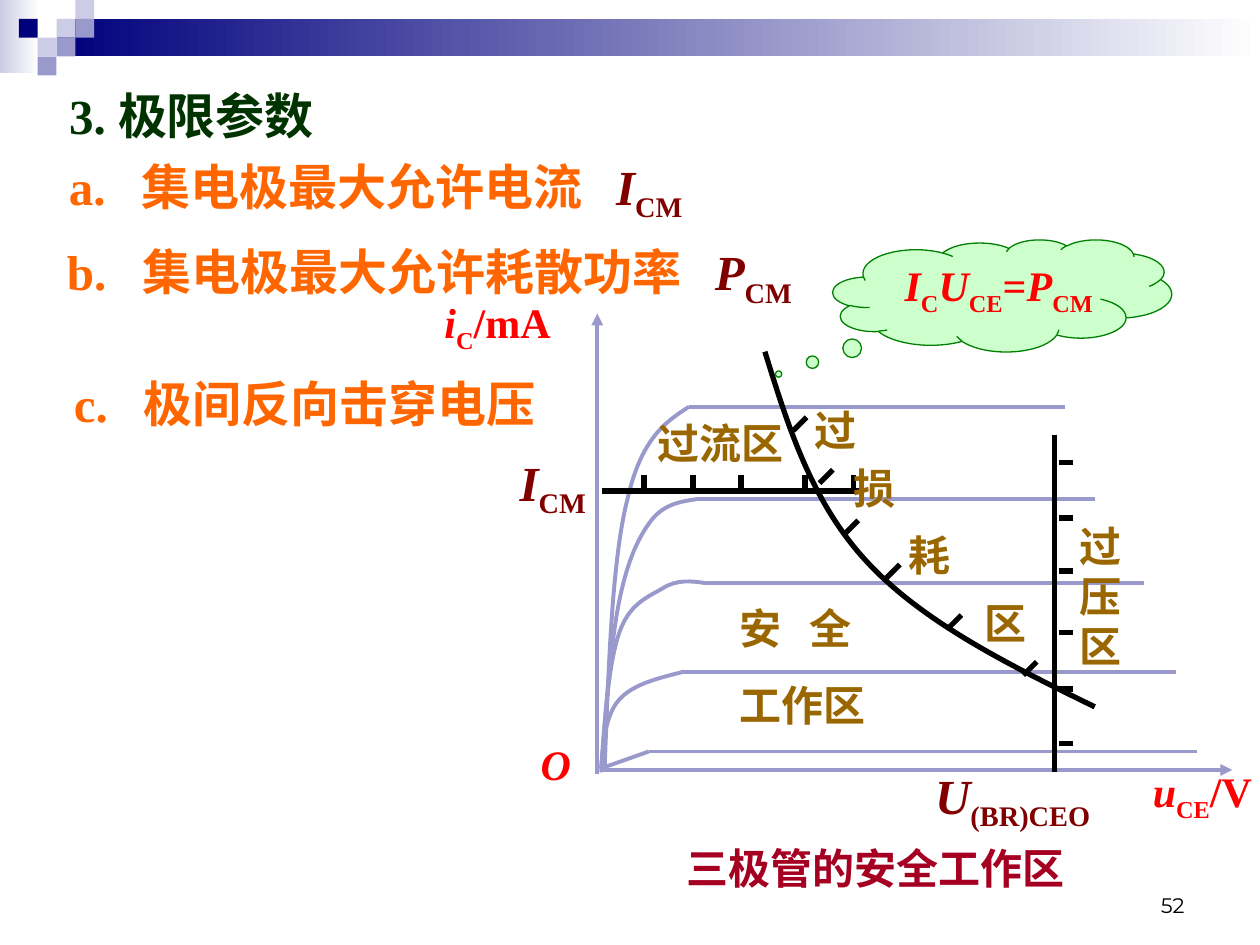
from lxml import etree
from pptx import Presentation
from pptx.dml.color import RGBColor
from pptx.enum import shapes, text
from pptx.oxml.ns import qn
from pptx.util import Cm, Pt

LAVENDER, PALE, NAVY = "9999CC", "CCCCE6", "00007D"
ORANGE, MAROON, RED, BROWN, BLACK = "FF6600", "800000", "FF0000", "996600", "000000"
SERIF = "Times New Roman"


def rgb(value):
    return RGBColor.from_string(value)


def add_block(s, kind, x, y, w, h, fill, line=None):
    sp = s.shapes.add_shape(kind, Cm(x), Cm(y), Cm(w), Cm(h))
    sp.shadow.inherit = False
    if isinstance(fill, tuple):
        sp.fill.gradient()
        sp.fill.gradient_angle = 0
        for stop, position, color in zip(sp.fill.gradient_stops, (0, 1), fill):
            stop.position = position
            stop.color.rgb = rgb(color)
    else:
        sp.fill.solid()
        sp.fill.fore_color.rgb = rgb(fill)
    if line:
        sp.line.color.rgb = rgb(line)
        sp.line.width = Pt(0.75)
    else:
        sp.line.fill.background()
    return sp


def add_line(s, x1, y1, x2, y2, color=BLACK, width=3, arrow=False):
    c = s.shapes.add_connector(shapes.MSO_CONNECTOR.STRAIGHT, Cm(x1), Cm(y1), Cm(x2), Cm(y2))
    c.line.color.rgb = rgb(color)
    c.line.width = Pt(width)
    if arrow:
        etree.SubElement(c.line._get_or_add_ln(), qn("a:tailEnd"), type="triangle")
    etree.SubElement(c._element.spPr, qn("a:effectLst"))


def add_curve(s, start, bends, color=BLACK, width=3):
    """Draw cubic Bezier bends, each given as two control points and an end."""
    builder = s.shapes.build_freeform(Cm(start[0]), Cm(start[1]))
    builder.add_line_segments([(Cm(x), Cm(y)) for bend in bends for x, y in bend], close=False)
    sp = builder.convert_to_shape()
    # Turn every three straight segments into one cubic segment
    segments = list(sp._element.iter(qn("a:lnTo")))
    for i in range(0, len(segments), 3):
        cubic = etree.Element(qn("a:cubicBezTo"))
        segments[i].addprevious(cubic)
        for segment in segments[i:i + 3]:
            cubic.append(segment[0])
            segment.getparent().remove(segment)
    sp.shadow.inherit = False
    sp.fill.background()
    sp.line.color.rgb = rgb(color)
    sp.line.width = Pt(width)


def fill_paragraph(p, runs, color, size, align="LEFT", tabs=(), font=SERIF, bold=True):
    """Runs are strings or (text, style[, colour]); style i is italic, sub is subscript."""
    p.alignment = getattr(text.PP_ALIGN, align)
    if tabs:
        tab_list = etree.SubElement(p._p.get_or_add_pPr(), qn("a:tabLst"))
        for tab in tabs:
            etree.SubElement(tab_list, qn("a:tab"), pos=str(Cm(tab)), algn="l")
    p.font.name, p.font.size, p.font.bold = font, Pt(size), bold
    p.font.color.rgb = rgb(color)
    for run in [runs] if isinstance(runs, str) else runs:
        content, style, *own_color = (run, "") if isinstance(run, str) else run
        r = p.add_run()
        r.text = content
        if style == "i":
            r.font.italic = True
        elif style == "sub":
            r._r.get_or_add_rPr().set("baseline", "-25000")
        if own_color:
            r.font.color.rgb = rgb(own_color[0])


def add_label(s, x, y, w, h, runs, color, size=24, **options):
    tf = s.shapes.add_textbox(Cm(x), Cm(y), Cm(w), Cm(h)).text_frame
    tf.word_wrap = True
    fill_paragraph(tf.paragraphs[0], runs, color, size, **options)
    return tf


def add_header(s):
    rect = shapes.MSO_SHAPE.RECTANGLE
    add_block(s, rect, 0, 0, 0.79, 1.47, (PALE, "FFFFFF"))
    add_block(s, rect, 1.14, 0.38, 24.26, 0.76, (NAVY, "FFFFFF"))
    cell = 0.38
    for col, row, color in [(3, 1, PALE), (4, 0, PALE), (4, 1, LAVENDER), (2, 2, PALE),
                            (1, 1, NAVY), (3, 2, LAVENDER), (2, 3, LAVENDER)]:
        add_block(s, rect, col * cell, row * cell, cell, cell, color)


def add_headings(s):
    title = s.shapes.title
    title.left, title.top, title.width, title.height = Cm(1.14), Cm(1.6), Cm(9.32), Cm(1.45)
    tf = title.text_frame
    tf.vertical_anchor = text.MSO_ANCHOR.TOP
    tf.auto_size = text.MSO_AUTO_SIZE.NONE
    fill_paragraph(tf.paragraphs[0], "3. 极限参数", "003300", 28)

    add_label(s, 1.14, 3.02, 15.47, 1.6,
              ["a.\t集电极最大允许电流\t", ("I", "i", MAROON), ("CM", "sub", MAROON)],
              ORANGE, 28, tabs=(1.47, 11.03))
    add_label(s, 1.1, 4.75, 18.16, 1.6,
              ["b.\t集电极最大允许耗散功率\t", ("P", "i", MAROON), ("CM", "sub", MAROON)],
              ORANGE, 28, tabs=(1.53, 13.06))
    add_label(s, 1.24, 7.4, 13.51, 1.45, "c.\t极间反向击穿电压", ORANGE, 28, tabs=(1.41,))


def add_characteristics(s):
    # Each curve rises from the origin and runs on as a level line
    curves = [
        ((12.12, 15.49), [((12.17, 14.99), (12.19, 14.45), (12.47, 14.12)),
                          ((12.75, 13.79), (13.28, 13.67), (13.79, 13.54))], 23.7),
        ((12.12, 15.57), [((12.19, 14.48), (12.27, 13.41), (12.47, 12.8)),
                          ((12.67, 12.17), (13.06, 12.04), (13.36, 11.86)),
                          ((13.64, 11.68), (13.94, 11.71), (14.25, 11.76))], 23.06),
        ((12.12, 15.49), [((12.12, 15.49), (12.6, 15.32), (13.08, 15.15))], 24.13),
        ((12.12, 15.49), [((12.22, 14.2), (12.32, 12.88), (12.5, 12.04)),
                          ((12.67, 11.25), (12.88, 10.82), (13.13, 10.49)),
                          ((13.39, 10.16), (13.72, 10.11), (14.07, 10.06))], 22.07),
        ((12.19, 15.49), [((12.27, 13.39), (12.34, 11.28), (12.65, 10.06)),
                          ((12.93, 8.84), (13.41, 8.51), (13.89, 8.2))], 21.46),
    ]
    for start, bends, end in curves:
        add_curve(s, start, bends, LAVENDER, 2.25)
        x, y = bends[-1][-1]
        add_line(s, x, y, end, y, LAVENDER, 2.25)
    # Axes
    add_line(s, 12.09, 15.52, 24.84, 15.52, LAVENDER, 2.25, arrow=True)
    add_line(s, 12.04, 15.6, 12.04, 6.32, LAVENDER, 2.25, arrow=True)


def add_limits(s):
    # Power limit with slanted ticks
    add_curve(s, (15.42, 7.09), [((15.9, 8.64), (16.38, 10.16), (17.5, 11.35)),
                                 ((18.62, 12.55), (20.35, 13.41), (22.07, 14.25))])
    for x, y in [(16.26, 8.41), (16.79, 9.47), (17.3, 10.49),
                 (18.14, 11.38), (19.38, 12.4), (20.9, 13.34)]:
        add_line(s, x, y, x - 0.27, y + 0.27)
    # Current limit with upright ticks
    add_line(s, 12.14, 9.9, 17.37, 9.9)
    for x in (12.98, 13.97, 14.94, 16.23, 17.2):
        add_line(s, x, 9.57, x, 9.87)
    # Voltage limit with level ticks
    add_line(s, 21.26, 8.76, 21.26, 15.57)
    for y in (9.32, 10.44, 11.51, 12.75, 13.89, 14.99):
        add_line(s, 21.34, y, 21.64, y)


def add_chart_labels(s):
    # Axis names and caption
    add_label(s, 8.71, 5.86, 3.89, 1.42, [("i", "i"), ("C", "sub"), "/mA"], RED)
    add_label(s, 10.65, 14.76, 1.78, 1.27, [("O", "i")], RED)
    add_label(s, 22.99, 15.31, 3.56, 1.42, [("u", "i"), ("CE", "sub"), "/V"], RED)
    add_label(s, 13.59, 16.86, 8.38, 1.27, "三极管的安全工作区", "A50021")
    # Limit values
    add_label(s, 10.04, 8.99, 2.21, 1.6, [("I", "i"), ("CM", "sub")], MAROON, 28, align="CENTER")
    add_label(s, 18.32, 15.3, 4.19, 1.6, [("U", "i"), ("(BR)CEO", "sub")], MAROON, 28,
              align="CENTER")
    add_label(s, 17.2, 5.11, 5.87, 1.42,
              [("I", "i"), ("C", "sub"), ("U", "i"), ("CE", "sub"), "=", ("P", "i"), ("CM", "sub")],
              RED, align="CENTER")
    # Regions
    add_label(s, 13, 8.29, 3.45, 1.27, "过流区", BROWN)
    add_label(s, 21.51, 10.36, 1.57, 3.3, "过压区", BROWN)
    tf = add_label(s, 14.66, 12.02, 3.4, 2.82, "安\t全", BROWN, tabs=(1.41,))
    p = tf.add_paragraph()
    p.space_before = Pt(15)
    fill_paragraph(p, "工作区", BROWN, 24)
    for char, x, y in [("过", 16.12, 8.03), ("损", 16.9, 9.19),
                       ("耗", 18.02, 10.54), ("区", 19.54, 11.92)]:
        add_label(s, x, y, 1.45, 1.27, char, BROWN, align="CENTER")


def main():
    prs = Presentation()
    prs.slide_width, prs.slide_height = Cm(25.4), Cm(19.05)
    s = prs.slides.add_slide(prs.slide_layouts[5])
    add_header(s)
    add_headings(s)
    cloud = add_block(s, shapes.MSO_SHAPE.CLOUD_CALLOUT, 16.79, 4.83, 6.83, 2.26,
                      "CCFFCC", "008000")
    cloud.adjustments[0], cloud.adjustments[1] = -0.66, 0.7
    add_characteristics(s)
    add_limits(s)
    add_chart_labels(s)
    # Slide number
    tf = add_label(s, 18.21, 17.35, 5.92, 1.27, "52", BLACK, 12, align="RIGHT",
                   font="Montserrat", bold=False)
    tf.vertical_anchor = text.MSO_ANCHOR.BOTTOM
    prs.save("out.pptx")


if __name__ == "__main__":
    main()
